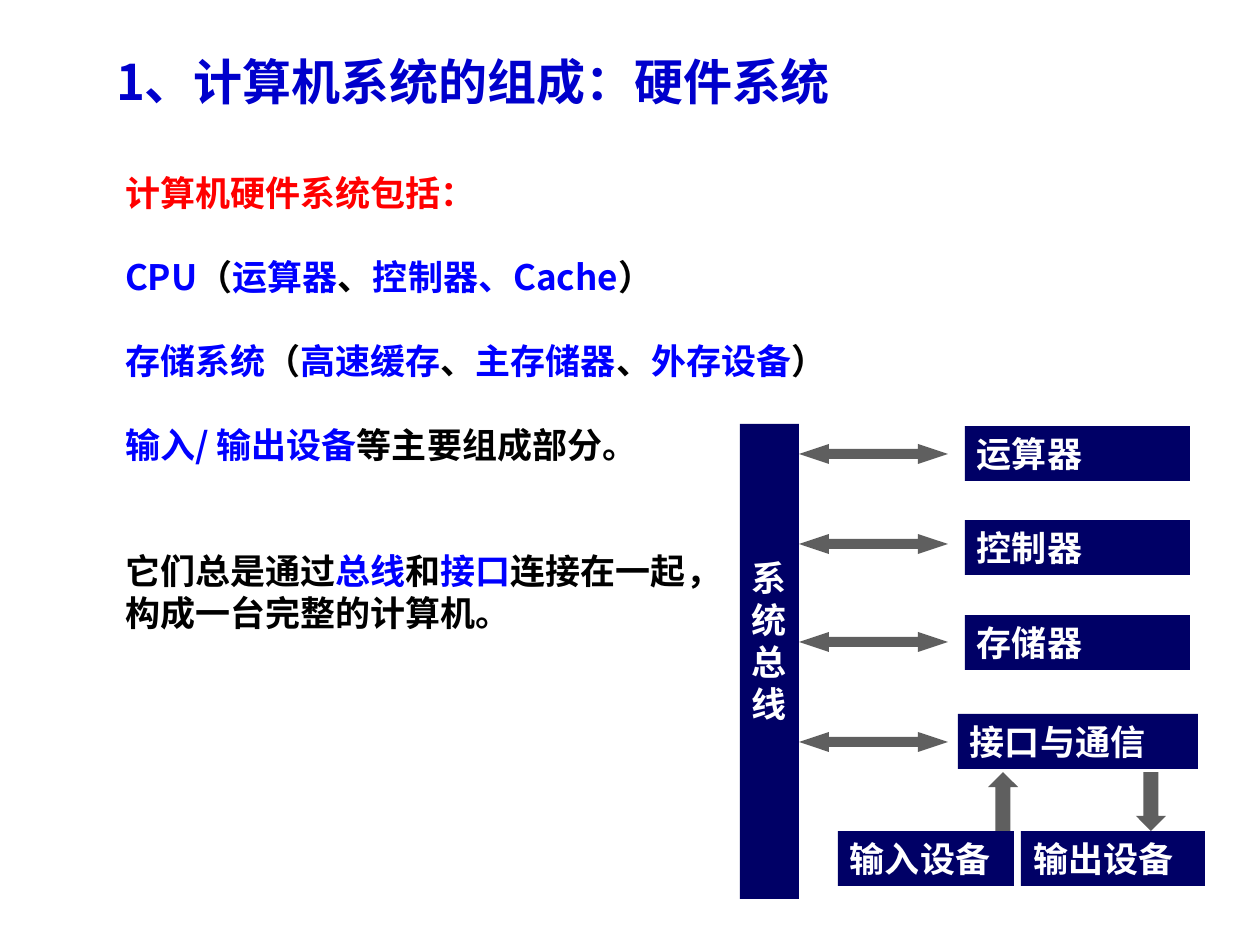
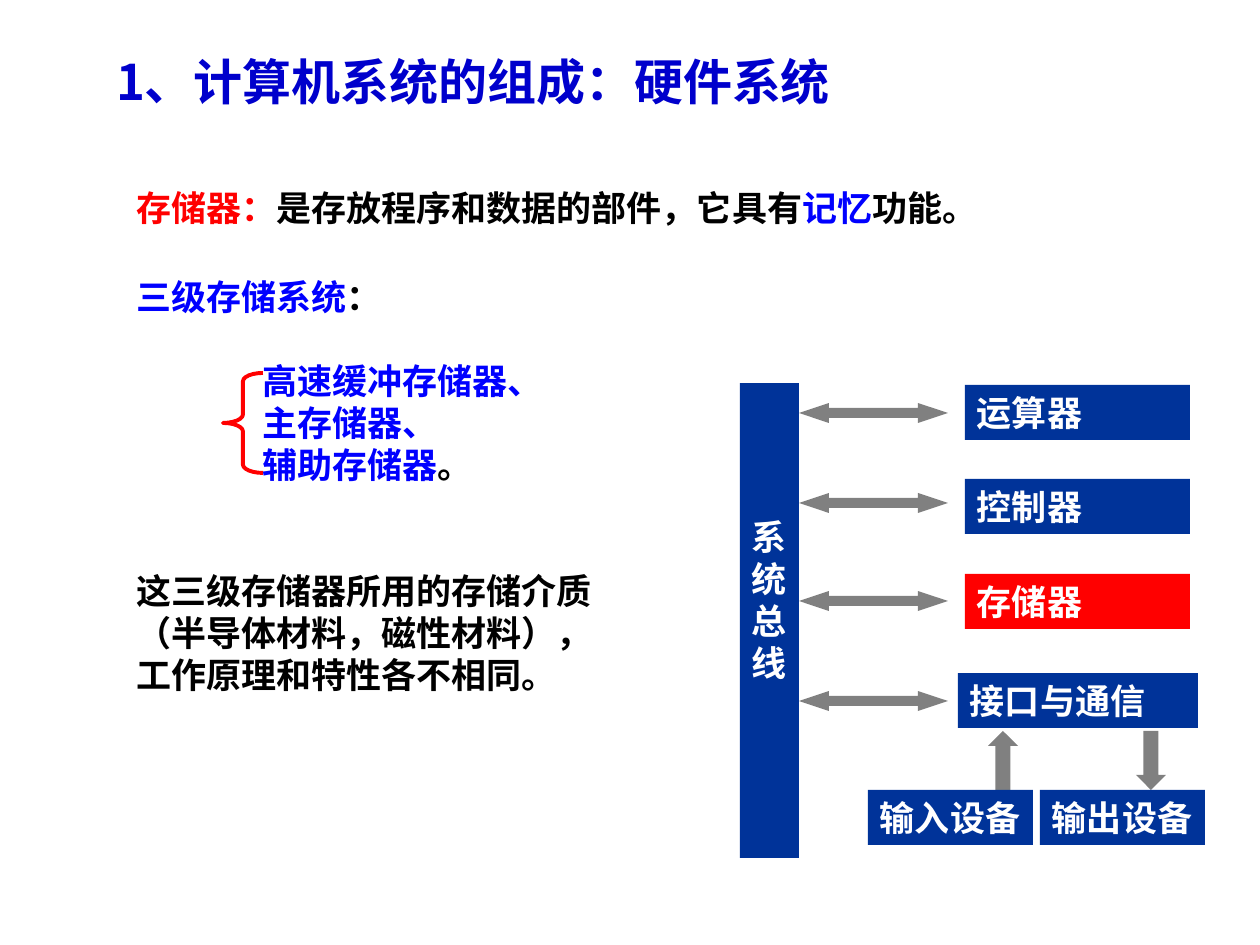
from lxml import etree
from pptx import Presentation
from pptx.dml.color import RGBColor
from pptx.enum.shapes import MSO_SHAPE
from pptx.enum.text import MSO_ANCHOR, MSO_AUTO_SIZE, PP_ALIGN
from pptx.oxml.ns import qn
from pptx.util import Emu, Pt

RECTANGLE = MSO_SHAPE.RECTANGLE
BRACE = MSO_SHAPE.LEFT_BRACE
BUS_ARROW = MSO_SHAPE.LEFT_RIGHT_ARROW
UP_ARROW = MSO_SHAPE.UP_ARROW
DOWN_ARROW = MSO_SHAPE.DOWN_ARROW
LEFT, CENTER = PP_ALIGN.LEFT, PP_ALIGN.CENTER
TOP = MSO_ANCHOR.TOP
NO_AUTOFIT = MSO_AUTO_SIZE.NONE

EMU_PER_PX = 914400 / 126
SLIDE_WIDTH, SLIDE_HEIGHT = 1260, 945
FONT = "Noto Sans CJK SC"
TITLE = "1、计算机系统的组成：硬件系统"
TITLE_BOX = (104, 45, 903, 72)
BODY_SIZE, BODY_LINE = 20, 24
TITLE_SIZE, TITLE_LINE = 28, 34
INSET_X, INSET_Y = 12, 6

COLORS = {
    "title": "0000CC",
    "key": "0000FF",
    "alert": "FF0000",
    "text": "000000",
    "white": "FFFFFF",
    "navy": "000066",
    "blue": "003399",
    "dark_gray": "5F5F5F",
    "gray": "808080",
}

# Each paragraph: space before in points, left indent in px, coloured runs
HARDWARE_TEXT = [
    (0, 0, [("计算机硬件系统包括：", "alert")]),
    (24, 0, [("CPU", "key"), ("（", "text"), ("运算器", "key"), ("、", "text"),
             ("控制器、Cache", "key"), ("）", "text")]),
    (24, 0, [("存储系统", "key"), ("（", "text"), ("高速缓存", "key"), ("、", "text"),
             ("主存储器", "key"), ("、", "text"), ("外存设备", "key"), ("）", "text")]),
    (24, 0, [("输入/ 输出设备", "key"), ("等主要组成部分。", "text")]),
    (48, 0, [("它们总是通过", "text"), ("总线", "key"), ("和", "text"),
             ("接口", "key"), ("连接在一起，", "text")]),
    (0, 0, [("构成一台完整的计算机。", "text")]),
]
MEMORY_TEXT = [
    (0, 0, [("存储器：", "alert"), ("是存放程序和数据的部件，它具有", "text"),
            ("记忆", "key"), ("功能。", "text")]),
    (27, 0, [("三级存储系统", "key"), ("：", "text")]),
    (24, 126, [("高速缓冲存储器、", "key")]),
    (0, 126, [("主存储器、", "key")]),
    (0, 126, [("辅助存储器", "key"), ("。", "text")]),
    (48, 0, [("这三级存储器所用的存储介质", "text")]),
    (0, 0, [("（半导体材料，磁性材料），", "text")]),
    (0, 0, [("工作原理和特性各不相同。", "text")]),
]

# Bus diagram: label, left, width, offset of box and arrow from the bus top
UNITS = [
    ("运算器", 965, 225, 2, 20),
    ("控制器", 965, 225, 96, 110),
    ("存储器", 965, 225, 191, 208),
    ("接口与通信", 958, 240, 290, 308),
]
BUS_LEFT, BUS_WIDTH, BUS_HEIGHT = 740, 59, 475
BOX_HEIGHT = 55
DEVICE_OFFSET, DEVICE_ARROW_OFFSET = 407, 348


def px(length):
    return Emu(round(length * EMU_PER_PX))


def rgb(name):
    return RGBColor.from_string(COLORS[name])


def apply_format(target, values):
    for name, value in values.items():
        setattr(target, name, value)


def place(shape, box):
    apply_format(shape, dict(zip(("left", "top", "width", "height"), map(px, box))))


def set_frame(frame, inset_x=INSET_X, inset_top=INSET_Y, wrap=True):
    apply_format(frame, {
        "auto_size": NO_AUTOFIT, "word_wrap": wrap, "vertical_anchor": TOP,
        "margin_left": px(inset_x), "margin_right": px(inset_x),
        "margin_top": px(inset_top), "margin_bottom": px(0),
    })


def write_paragraphs(frame, paragraphs, size=BODY_SIZE, line=BODY_LINE, align=LEFT):
    for index, (space, indent, runs) in enumerate(paragraphs):
        paragraph = frame.add_paragraph() if index else frame.paragraphs[0]
        properties = paragraph._p.get_or_add_pPr()
        properties.set("marL", str(px(indent)))
        properties.set("indent", "0")
        etree.SubElement(properties, qn("a:buNone"))
        apply_format(paragraph, {
            "alignment": align, "line_spacing": Pt(line),
            "space_before": Pt(space), "space_after": Pt(0),
        })
        for text, color in runs:
            run = paragraph.add_run()
            run.text = text
            apply_format(run.font, {"name": FONT, "size": Pt(size), "bold": True})
            run.font.color.rgb = rgb(color)
            east_asian = etree.SubElement(run._r.get_or_add_rPr(), qn("a:ea"))
            east_asian.set("typeface", FONT)


def add_text_slide(presentation, body_box, paragraphs):
    slide = presentation.slides.add_slide(presentation.slide_layouts[1])
    title, body = slide.shapes.title, slide.placeholders[1]
    place(title, TITLE_BOX)
    set_frame(title.text_frame)
    write_paragraphs(title.text_frame, [(0, 0, [(TITLE, "title")])],
                     TITLE_SIZE, TITLE_LINE)
    place(body, body_box)
    set_frame(body.text_frame)
    write_paragraphs(body.text_frame, paragraphs)
    return slide


def add_plain_shape(slide, kind, box, fill=None, adjustments=()):
    shape = slide.shapes.add_shape(kind, *map(px, box))
    shape.shadow.inherit = False
    shape.line.fill.background()
    if fill:
        shape.fill.solid()
        shape.fill.fore_color.rgb = rgb(fill)
    else:
        shape.fill.background()
    for index, value in enumerate(adjustments):
        shape.adjustments[index] = value
    return shape


def add_label(slide, text, left, top, width, fill):
    box = add_plain_shape(slide, RECTANGLE, (left, top, width, BOX_HEIGHT), fill)
    set_frame(box.text_frame, wrap=False)
    write_paragraphs(box.text_frame, [(0, 0, [(text, "white")])])


def add_bus(slide, top, fill):
    bus = add_plain_shape(slide, RECTANGLE, (BUS_LEFT, top, BUS_WIDTH, BUS_HEIGHT), fill)
    set_frame(bus.text_frame, inset_x=6, inset_top=132)
    write_paragraphs(bus.text_frame,
                     [(0, 0, [(character, "white")]) for character in "系统总线"],
                     align=CENTER)


def add_bus_diagram(slide, top, fill, arrow_fill, devices, highlighted=None):
    add_bus(slide, top, fill)
    # Units on the bus
    for text, left, width, box_offset, arrow_offset in UNITS:
        unit_fill = "alert" if text == highlighted else fill
        add_label(slide, text, left, top + box_offset, width, unit_fill)
        add_plain_shape(slide, BUS_ARROW,
                        (BUS_LEFT + BUS_WIDTH, top + arrow_offset, 149, 20),
                        arrow_fill, (0.5, 1.5))
    # Devices below the interface
    for kind, left in ((UP_ARROW, 988), (DOWN_ARROW, 1136)):
        add_plain_shape(slide, kind, (left, top + DEVICE_ARROW_OFFSET, 30, 59),
                        arrow_fill, (0.5, 0.5))
    for text, left, width in devices:
        add_label(slide, text, left, top + DEVICE_OFFSET, width, fill)


def add_brace(slide, box):
    brace = add_plain_shape(slide, BRACE, box, adjustments=(0.21, 0.5))
    brace.line.color.rgb = rgb("alert")
    brace.line.width = Pt(2.25)


def main():
    presentation = Presentation()
    presentation.slide_width = px(SLIDE_WIDTH)
    presentation.slide_height = px(SLIDE_HEIGHT)

    # Hardware overview
    slide = add_text_slide(presentation, (113, 165, 760, 475), HARDWARE_TEXT)
    add_bus_diagram(slide, 424, "navy", "dark_gray",
                    [("输入设备", 838, 176), ("输出设备", 1021, 184)])

    # Memory levels
    slide = add_text_slide(presentation, (124, 180, 1101, 606), MEMORY_TEXT)
    add_bus_diagram(slide, 383, "blue", "gray",
                    [("输入设备", 868, 165), ("输出设备", 1040, 165)],
                    highlighted="存储器")
    add_brace(slide, (223, 373, 40, 100))

    presentation.save("out.pptx")


if __name__ == "__main__":
    main()
